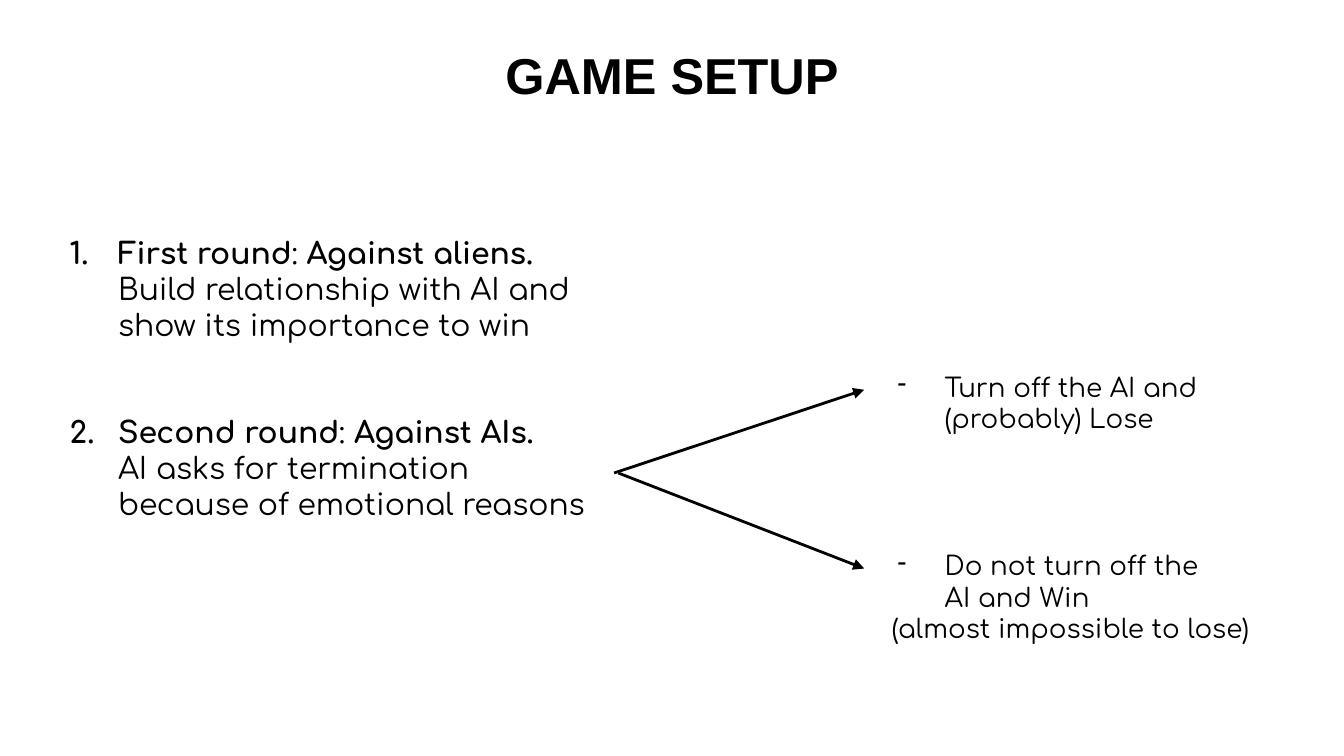
import pptx
import pptx.dml.color
import pptx.enum.shapes
import pptx.enum.text
import pptx.oxml.ns
import pptx.util
from dataclasses import dataclass
from lxml import etree

Pt = pptx.util.Pt
qn = pptx.oxml.ns.qn
ALIGN = pptx.enum.text.PP_ALIGN
ANCHOR = pptx.enum.text.MSO_ANCHOR


@dataclass(frozen=True)
class Theme:
    ink: pptx.dml.color.RGBColor = pptx.dml.color.RGBColor(0, 0, 0)
    heading_font: str = "Arial"
    body_font: str = "Comfortaa"
    title_size: float = 27
    round_size: float = 16
    outcome_size: float = 14
    inset: float = 7.2


theme = Theme()


def write(frame, text, size, font=theme.body_font, align=ALIGN.LEFT,
          left=0, hanging=0, before=0, number=None, dash=False):
    """Add a paragraph to frame; parts between ** marks are bold."""
    first = frame.paragraphs[0]
    paragraph = frame.add_paragraph() if first.runs else first
    properties = paragraph._p.get_or_add_pPr()
    properties.set("marL", str(int(Pt(left))))
    properties.set("indent", str(int(Pt(-hanging))))
    if number:
        etree.SubElement(properties, qn("a:buAutoNum"),
                         type="arabicPeriod", startAt=str(number))
    elif dash:
        etree.SubElement(properties, qn("a:buChar"), char="-")
    else:
        etree.SubElement(properties, qn("a:buNone"))
    paragraph.alignment = align
    paragraph.space_before = Pt(before)
    for index, part in enumerate(text.split("**")):
        if part:
            run = paragraph.add_run()
            run.text = part
            run.font.name = font
            run.font.size = Pt(size)
            run.font.bold = index % 2 == 1
            run.font.color.rgb = theme.ink


def prepare(shape, anchor):
    """Set wrapping, insets and anchor, and return the text frame."""
    frame = shape.text_frame
    frame.word_wrap = True
    frame.auto_size = pptx.enum.text.MSO_AUTO_SIZE.NONE
    frame.vertical_anchor = anchor
    frame.margin_left = frame.margin_right = Pt(theme.inset)
    frame.margin_top = frame.margin_bottom = Pt(theme.inset)
    return frame


deck = pptx.Presentation()
deck.slide_width, deck.slide_height = Pt(720), Pt(405)
slide = deck.slides.add_slide(deck.slide_layouts[5])

# Title
title = slide.shapes.title
title.left, title.top, title.width, title.height = Pt(0), Pt(17.3), Pt(720), Pt(45.4)
write(prepare(title, ANCHOR.MIDDLE), "**GAME SETUP**", theme.title_size,
      font=theme.heading_font, align=ALIGN.CENTER)

# Rounds
rounds = prepare(slide.shapes.add_textbox(Pt(20.2), Pt(0), Pt(306.7), Pt(405)),
                 ANCHOR.MIDDLE)
round_texts = [
    ("**First round**: **Against aliens.**",
     "Build relationship with AI and show its importance to win"),
    ("**Second round**: **Against AIs.**",
     "AI asks for termination because of emotional reasons"),
]
for number, (heading, detail) in enumerate(round_texts, start=1):
    write(rounds, heading, theme.round_size, left=36, hanging=25.9,
          number=number, before=38.5 if number > 1 else 0)
    write(rounds, detail, theme.round_size, left=36)

# Outcomes of the second round
outcomes = [
    (191.5, [("Turn off the AI and (probably) Lose", dict(left=36, hanging=25.2, dash=True))]),
    (287.3, [("Do not turn off the", dict(left=36, hanging=25.2, dash=True)),
             ("AI and Win", dict(left=36)),
             ("(almost impossible to lose)", dict(left=7.5))]),
]
for top, lines in outcomes:
    outcome = prepare(slide.shapes.add_textbox(Pt(463), Pt(top), Pt(219.6), Pt(34.6)),
                      ANCHOR.TOP)
    for text, layout in lines:
        write(outcome, text, theme.outcome_size, **layout)

# Arrows from the second round to its outcomes
for start_x, end_y in [(329, 208.8), (331.2, 304.6)]:
    arrow = slide.shapes.add_connector(pptx.enum.shapes.MSO_CONNECTOR.STRAIGHT,
                                       Pt(start_x), Pt(253.4), Pt(463), Pt(end_y))
    arrow.line.color.rgb = theme.ink
    arrow.line.width = Pt(1.5)
    etree.SubElement(arrow.line._get_or_add_ln(), qn("a:tailEnd"), type="triangle")
    etree.SubElement(arrow._element.spPr, qn("a:effectLst"))

deck.save("out.pptx")
